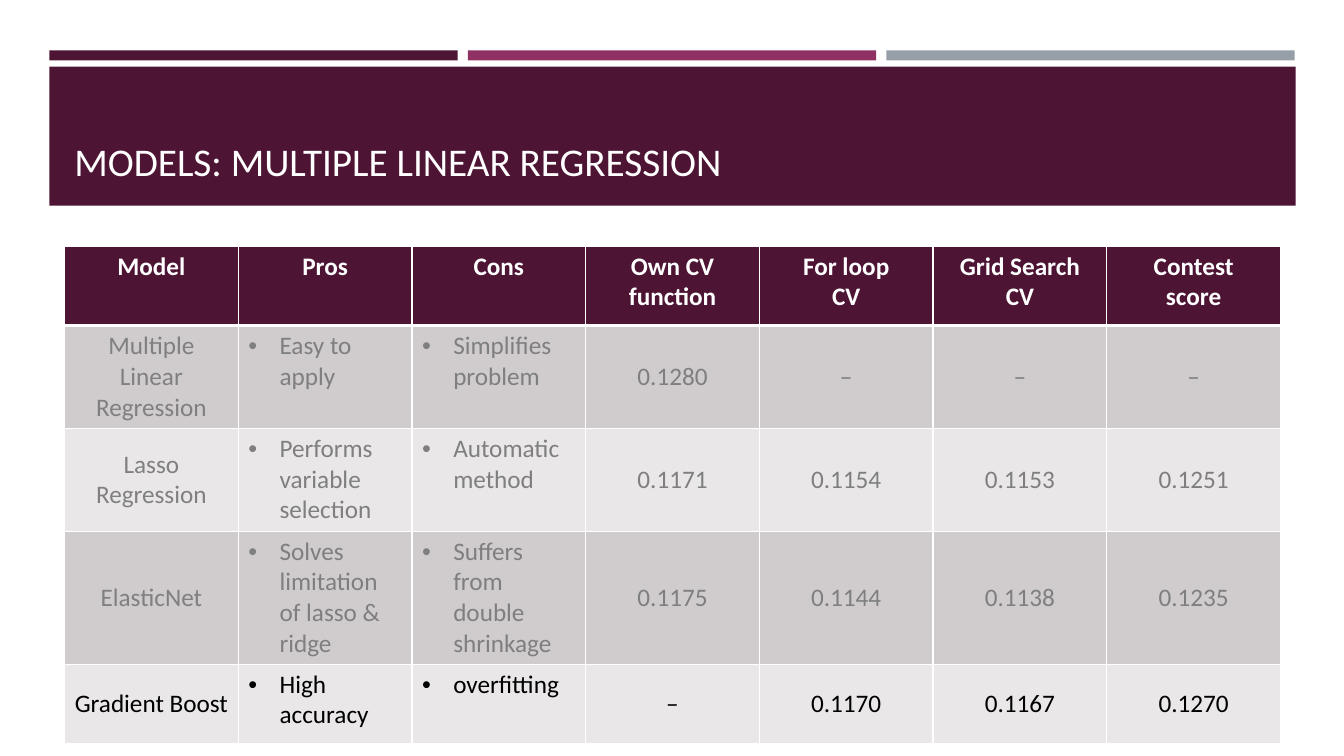
from dataclasses import dataclass

from lxml.etree import SubElement
from pptx import Presentation
from pptx.dml.color import RGBColor
from pptx.enum.shapes import MSO_SHAPE
from pptx.enum.text import MSO_ANCHOR, PP_ALIGN
from pptx.oxml.ns import qn
from pptx.util import Inches, Pt

PLUM, MAGENTA, STEEL = "4D1434", "903163", "969FA7"
WHITE, BLACK, GREY, BULLET_GREY = "FFFFFF", "000000", "808080", "7F7F7F"
DARK_BAND, LIGHT_BAND = "D0CCCE", "E9E7E8"


@dataclass
class Bar:
    left: float
    top: float
    width: float
    height: float
    color: str


@dataclass
class ModelRow:
    texts: tuple
    height: float
    band: str
    color: str = GREY
    bullet_color: str = BULLET_GREY


HEADINGS = ("Model", "Pros", "Cons", "Own CV function", "For loop\nCV",
            "Grid Search\nCV", "Contest\nscore")
HEADING_HEIGHT = 0.79
BULLET_COLUMNS = (1, 2)
MODELS = [
    ModelRow(("Multiple\nLinear\nRegression", "Easy to apply", "Simplifies problem",
              "0.1280", "–", "–", "–"), 1.02, DARK_BAND),
    ModelRow(("Lasso\nRegression", "Performs variable selection", "Automatic method",
              "0.1171", "0.1154", "0.1153", "0.1251"), 1.02, LIGHT_BAND),
    ModelRow(("ElasticNet", "Solves limitation of lasso & ridge",
              "Suffers from double shrinkage",
              "0.1175", "0.1144", "0.1138", "0.1235"), 1.32, DARK_BAND),
    ModelRow(("Gradient Boost", "High accuracy", "overfitting",
              "–", "0.1170", "0.1167", "0.1270"), 0.79, LIGHT_BAND, BLACK, BLACK),
]


def rgb(value: str) -> RGBColor:
    return RGBColor.from_string(value)


def write_text(frame, text: str, *, size=18, color=BLACK, bold=False,
               align=PP_ALIGN.CENTER, anchor=MSO_ANCHOR.MIDDLE, bullet=False) -> None:
    frame.word_wrap = True
    frame.vertical_anchor = anchor
    for index, line in enumerate(text.split("\n")):
        para = frame.paragraphs[0] if index == 0 else frame.add_paragraph()
        para.alignment = align
        span = para.add_run()
        span.text = line
        span.font.name = "Calibri"
        span.font.size = Pt(size)
        span.font.bold = bold
        span.font.color.rgb = rgb(color)
        if bullet:
            properties = para._p.get_or_add_pPr()
            properties.set("marL", str(Inches(0.31)))
            properties.set("indent", str(-Inches(0.31)))
            SubElement(properties, qn("a:buFont")).set("typeface", "Arial")
            SubElement(properties, qn("a:buChar")).set("char", "•")


def draw_bar(page, bar: Bar) -> None:
    shape = page.shapes.add_shape(
        MSO_SHAPE.RECTANGLE, Inches(bar.left), Inches(bar.top),
        Inches(bar.width), Inches(bar.height))
    shape.shadow.inherit = False
    shape.fill.solid()
    shape.fill.fore_color.rgb = rgb(bar.color)
    shape.line.fill.background()


def style_cell(cell, fill: str, *, top=1, bottom=1) -> None:
    properties = cell._tc.get_or_add_tcPr()
    for side, width in (("L", 1), ("R", 1), ("T", top), ("B", bottom)):
        border = SubElement(properties, qn(f"a:ln{side}"), w=str(Pt(width)))
        paint = SubElement(border, qn("a:solidFill"))
        SubElement(paint, qn("a:srgbClr"), val=WHITE)
    cell.fill.solid()
    cell.fill.fore_color.rgb = rgb(fill)


def draw_table(page) -> None:
    heights = [HEADING_HEIGHT] + [model.height for model in MODELS]
    table = page.shapes.add_table(
        len(heights), len(HEADINGS), Inches(0.64), Inches(2.44),
        Inches(12.06), Inches(sum(heights))).table
    table.horz_banding = False
    for row, height in zip(table.rows, heights):
        row.height = Inches(height)
    for column, heading in enumerate(HEADINGS):
        cell = table.cell(0, column)
        style_cell(cell, PLUM, bottom=3)
        write_text(cell.text_frame, heading, color=WHITE, bold=True)
        cell.vertical_anchor = MSO_ANCHOR.TOP
    for number, model in enumerate(MODELS, 1):
        for column, text in enumerate(model.texts):
            cell = table.cell(number, column)
            style_cell(cell, model.band, top=3 if number == 1 else 1)
            bullet = column in BULLET_COLUMNS
            write_text(cell.text_frame, text, bullet=bullet,
                       color=model.color if column == 0 else model.bullet_color,
                       align=PP_ALIGN.LEFT if bullet else PP_ALIGN.CENTER)
            cell.vertical_anchor = MSO_ANCHOR.TOP if bullet else MSO_ANCHOR.MIDDLE


deck = Presentation()
deck.slide_width, deck.slide_height = Inches(13.33), Inches(7.5)
page = deck.slides.add_slide(deck.slide_layouts[6])

for index, color in enumerate((PLUM, MAGENTA, STEEL)):
    draw_bar(page, Bar(0.49 + index * 4.15, 0.5, 4.05, 0.1, color))
draw_bar(page, Bar(0.49, 0.66, 12.36, 1.38, PLUM))

title = page.shapes.add_textbox(Inches(0.64), Inches(0.8), Inches(12.06), Inches(1.08))
write_text(title.text_frame, "MODELS: MULTIPLE LINEAR REGRESSION", size=28,
           color=WHITE, align=PP_ALIGN.LEFT, anchor=MSO_ANCHOR.BOTTOM)
draw_table(page)

deck.save("out.pptx")
